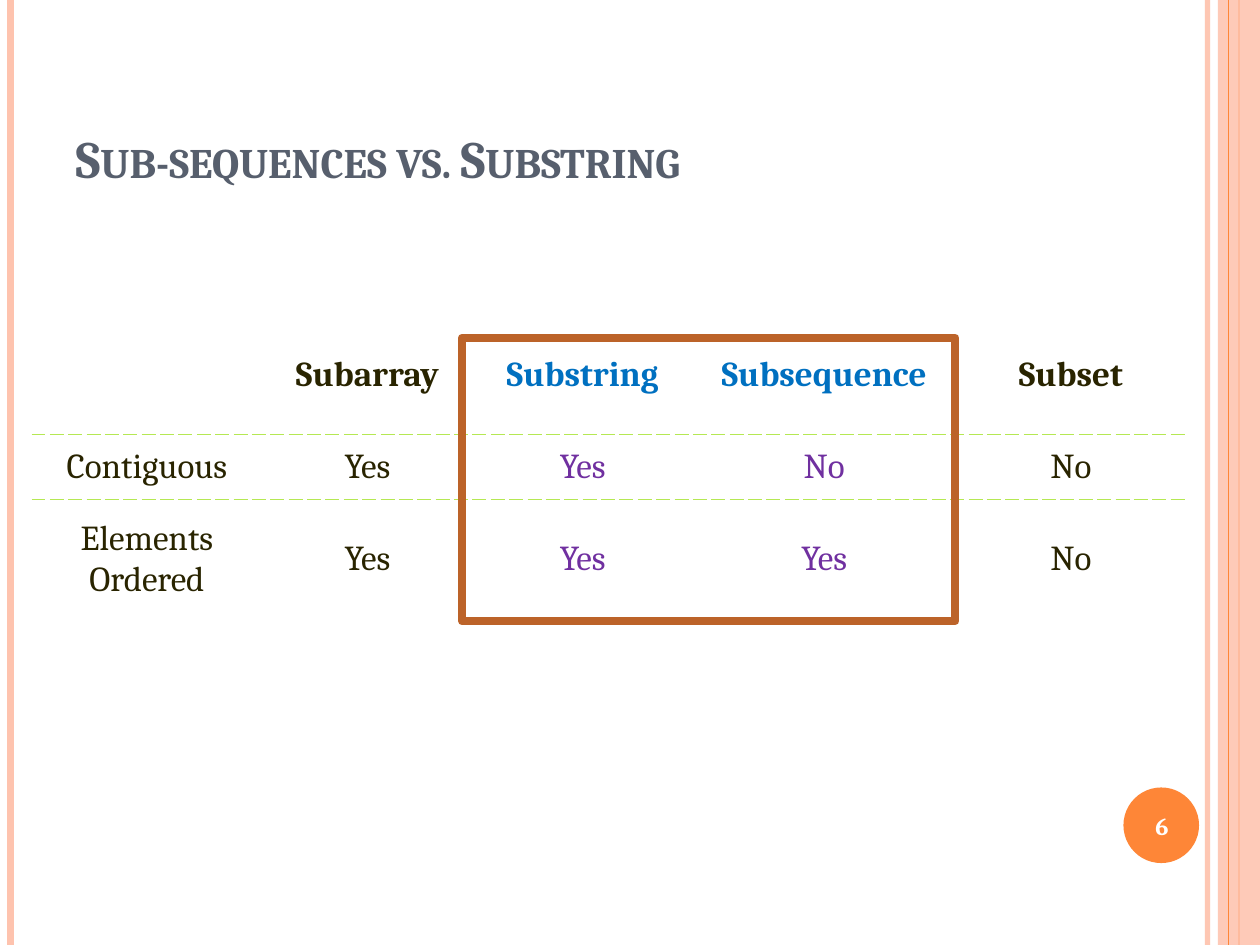
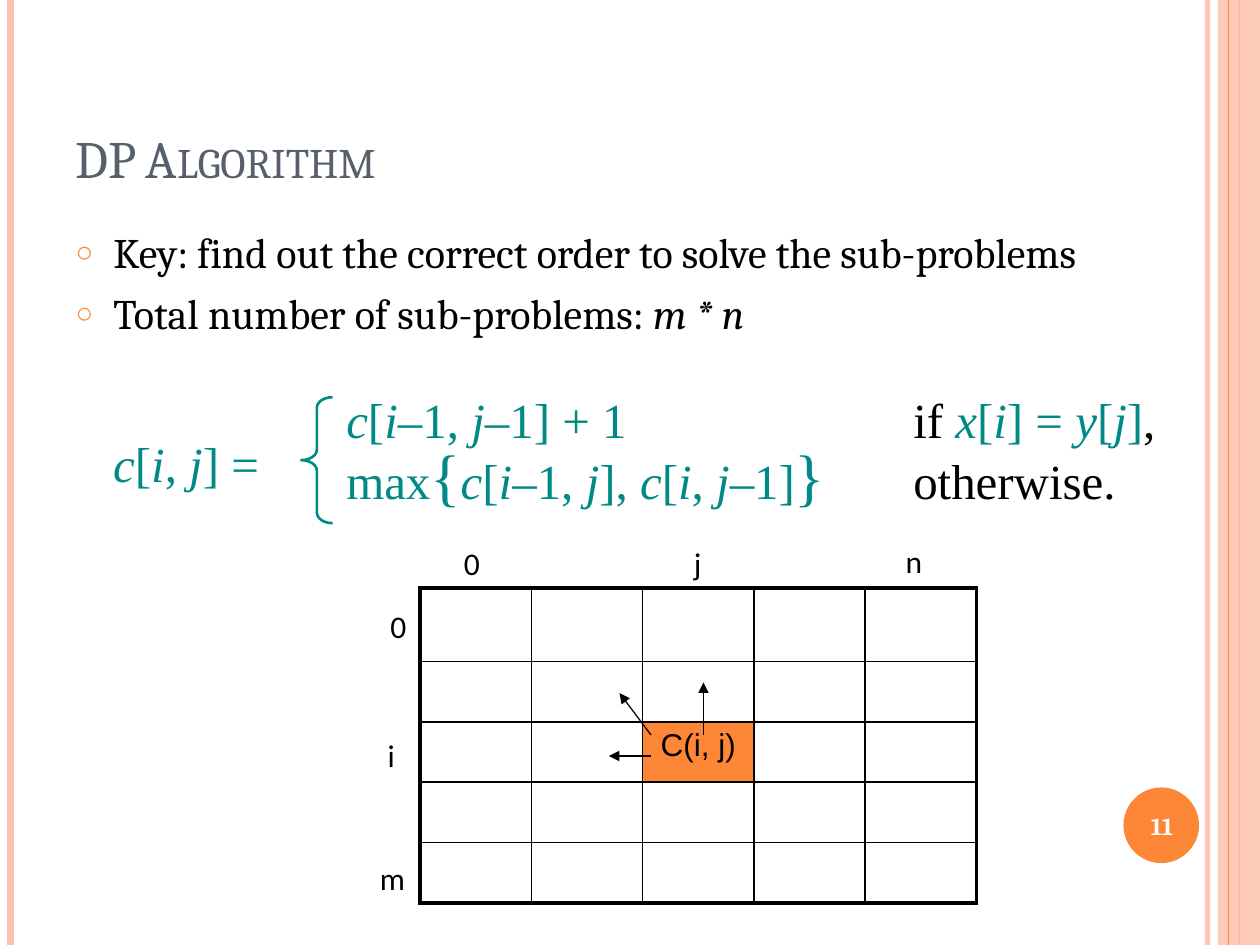
from collections import namedtuple
from itertools import groupby

from lxml.etree import SubElement
from pptx import Presentation
from pptx.dml.color import RGBColor
from pptx.enum.shapes import MSO_CONNECTOR, MSO_SHAPE
from pptx.enum.text import MSO_ANCHOR, MSO_AUTO_SIZE, PP_ALIGN
from pptx.oxml.ns import qn
from pptx.util import Pt

COLORS = {
    "orange": "FE8637", "peach": "FEC3AE", "rust": "BC6329", "slate": "575F6D",
    "olive": "292400", "blue": "0070C0", "purple": "7030A0", "lime": "B5E853",
    "teal": "008A87", "black": "000000", "white": "FFFFFF",
}
SERIF = "Cambria"
PLAIN_TABLE_STYLE = "{2D5ABB26-0587-4C30-8999-92F81FD0307C}"

Box = namedtuple("Box", "left top width height")
SLIDE = Box(0, 0, 720, 540)
TITLE = Box(36, 21.6, 588, 90)
BODY = Box(36, 126, 588, 384)


def rgb(name):
    return RGBColor.from_string(COLORS[name])


def in_points(box):
    return [Pt(length) for length in box]


def within(box, left, top, width, height):
    return Box(box.left + left, box.top + top, width, height)


def set_alpha(shape, percent):
    for color in shape._element.spPr.iter(qn("a:srgbClr")):
        SubElement(color, qn("a:alpha"), val=str(percent * 1000))


def write_text(para, text, size=18, font=SERIF, color="black", bold=False,
               italic=False, small_caps=False):
    span = para.add_run()
    span.text = text
    span.font.size = Pt(size)
    span.font.name = font
    span.font.color.rgb = rgb(color)
    span.font.bold = bold
    span.font.italic = italic
    if small_caps:
        span._r.get_or_add_rPr().set("cap", "small")


def add_line(page, start, end, color, width, arrow=False):
    line = page.shapes.add_connector(MSO_CONNECTOR.STRAIGHT, *in_points(start + end))
    line.line.color.rgb = rgb(color)
    line.line.width = Pt(width)
    if arrow:
        SubElement(line.line._get_or_add_ln(), qn("a:tailEnd"), type="triangle")
    SubElement(line._element.spPr, qn("a:effectLst"))
    return line


def add_shape(page, kind, box, fill=None, line=None, width=1.5):
    shape = page.shapes.add_shape(kind, *in_points(box))
    shape.shadow.inherit = False
    if fill:
        shape.fill.solid()
        shape.fill.fore_color.rgb = rgb(fill)
    else:
        shape.fill.background()
    if line:
        shape.line.color.rgb = rgb(line)
        shape.line.width = Pt(width)
    else:
        shape.line.fill.background()
    return shape


def add_text_frame(page, box):
    frame = page.shapes.add_textbox(*in_points(box)).text_frame
    frame.word_wrap = False
    frame.auto_size = MSO_AUTO_SIZE.SHAPE_TO_FIT_TEXT
    return frame


def place_placeholder(holder, box, anchor):
    holder.left, holder.top, holder.width, holder.height = in_points(box)
    frame = holder.text_frame
    frame.auto_size = MSO_AUTO_SIZE.NONE
    frame.vertical_anchor = anchor
    return frame


def add_bands(page, box):
    bottom = box.top + box.height
    for left, color, width, alpha in (
        (690, "peach", 3, 93), (6, "peach", 4.5, 100), (708, "orange", 1.5, 100),
    ):
        x = box.left + left
        line = add_line(page, (x, box.top), (x, bottom), color, width)
        set_alpha(line, alpha)
    stripe = add_shape(page, MSO_SHAPE.RECTANGLE,
                       within(box, 696, 0, 24, box.height), fill="peach")
    set_alpha(stripe, 87)
    x = box.left + 702
    add_line(page, (x, box.top), (x, bottom), "orange", 0.75)


def add_page_number(page, box, number):
    add_shape(page, MSO_SHAPE.OVAL, within(box, 642, 450, 43.2, 43.2), fill="orange")
    frame = add_text_frame(page, within(box, 640, 451.4, 48, 41))
    frame.word_wrap = True
    frame.auto_size = MSO_AUTO_SIZE.NONE
    frame.vertical_anchor = MSO_ANCHOR.MIDDLE
    para = frame.paragraphs[0]
    para.alignment = PP_ALIGN.CENTER
    write_text(para, str(number), size=14, color="white", bold=True)


def start_page(deck, layout, title, number, bold=False):
    page = deck.slides.add_slide(deck.slide_layouts.get_by_name(layout))
    add_bands(page, SLIDE)
    para = place_placeholder(page.shapes.title, TITLE, MSO_ANCHOR.BOTTOM).paragraphs[0]
    para.alignment = PP_ALIGN.LEFT
    write_text(para, title, size=30, color="slate", bold=bold, small_caps=True)
    add_page_number(page, SLIDE, number)
    return page


def add_plain_table(page, box, widths, heights):
    table = page.shapes.add_table(len(heights), len(widths), *in_points(box)).table
    table.first_row = table.horz_banding = False
    table._tbl.tblPr.find(qn("a:tableStyleId")).text = PLAIN_TABLE_STYLE
    for column, width in zip(table.columns, widths):
        column.width = Pt(width)
    for row, height in zip(table.rows, heights):
        row.height = Pt(height)
    return table


def format_cell(cell, borders, fill=None, dash="solid"):
    properties = cell._tc.get_or_add_tcPr()
    for side, (color, width) in borders.items():
        line = SubElement(properties, qn(f"a:ln{side}"), w=str(Pt(width)))
        solid = SubElement(line, qn("a:solidFill"))
        SubElement(solid, qn("a:srgbClr"), val=COLORS[color])
        SubElement(line, qn("a:prstDash"), val=dash)
    if fill:
        cell.fill.solid()
        cell.fill.fore_color.rgb = rgb(fill)
    else:
        cell.fill.background()


def add_comparison(page, box):
    rows = (
        ("", "Subarray", "Substring", "Subsequence", "Subset"),
        ("Contiguous", "Yes", "Yes", "No", "No"),
        ("Elements Ordered", "Yes", "Yes", "Yes", "No"),
    )
    rule_side = {0: "B", 1: "T"}
    table = add_plain_table(page, box, (132, 120, 126, 150, 132), (68.5, 37, 68.5))
    for row, texts in enumerate(rows):
        for column, text in enumerate(texts):
            cell = table.cell(row, column)
            borders = {rule_side[row]: ("lime", 0.75)} if row in rule_side else {}
            format_cell(cell, borders, dash="dash")
            cell.margin_left = cell.margin_right = Pt(6)
            cell.margin_top = cell.margin_bottom = Pt(3)
            cell.vertical_anchor = MSO_ANCHOR.MIDDLE
            color = "olive"
            if column in (2, 3):
                color = "purple" if row else "blue"
            if text:
                para = cell.text_frame.paragraphs[0]
                para.alignment = PP_ALIGN.CENTER
                write_text(para, text, size=20, color=color, bold=row == 0)
    add_shape(page, MSO_SHAPE.RECTANGLE, within(box, 246, 13, 282, 162),
              line="rust", width=4.5)


def add_bullets(page, box):
    bullets = (
        (("Key: find out the correct order to solve the sub-problems", False),),
        (("Total number of sub-problems:", False), (" m * n", True)),
    )
    frame = place_placeholder(page.placeholders[1], box, MSO_ANCHOR.TOP)
    for index, spans in enumerate(bullets):
        para = frame.add_paragraph() if index else frame.paragraphs[0]
        para.space_before = Pt(6)
        properties = para._p.get_or_add_pPr()
        properties.set("marL", str(Pt(21.6)))
        properties.set("indent", str(Pt(-21.6)))
        color = SubElement(properties, qn("a:buClr"))
        SubElement(color, qn("a:srgbClr"), val=COLORS["orange"])
        SubElement(properties, qn("a:buSzPct"), val="70000")
        SubElement(properties, qn("a:buChar"), char="○")
        for text, italic in spans:
            write_text(para, text, size=24, italic=italic)


def write_math(para, text, color="teal", size=28, variables="cijxy"):
    for italic, letters in groupby(text, key=lambda letter: letter in variables):
        write_text(para, "".join(letters), size=size, font="Times New Roman",
                   color=color, italic=italic)


def add_recurrence(page, box):
    left_side = add_text_frame(page, within(box, 0, 20, 98, 41))
    write_math(left_side.paragraphs[0], "c[i, j] =")
    cases = add_text_frame(page, within(box, 133.2, 0, 477.4, 72.7))
    first, second = cases.paragraphs[0], cases.add_paragraph()
    for para in (first, second):
        para.line_spacing = 0.85
        tabs = SubElement(para._p.get_or_add_pPr(), qn("a:tabLst"))
        SubElement(tabs, qn("a:tab"), pos=str(Pt(324)), algn="l")
    write_math(first, "c[i–1, j–1] + 1")
    write_math(first, "\tif ", color="black", variables="")
    write_math(first, "x[i] = y[j]")
    write_math(first, ",", color="black")
    write_math(second, "max", variables="")
    write_math(second, "{", size=36)
    write_math(second, "c[i–1, j], c[i, j–1]")
    write_math(second, "}", size=36)
    write_math(second, "\totherwise.", color="black", variables="")
    brace = add_shape(page, MSO_SHAPE.LEFT_BRACE, within(box, 114.5, 3, 18, 72),
                      line="teal")
    brace.adjustments[0] = 0.33


def add_subproblem_grid(page, box):
    count = 5
    heights = [42] + [34.5] * (count - 1)
    table = add_plain_table(page, box, [box.width / count] * count, heights)
    for row in range(count):
        for column in range(count):
            outer = {"L": column == 0, "R": column == count - 1,
                     "T": row == 0, "B": row == count - 1}
            borders = {side: ("black", 2.25 if edge else 1)
                       for side, edge in outer.items()}
            current = row == column == 2
            format_cell(table.cell(row, column), borders, "orange" if current else None)
    para = table.cell(2, 2).text_frame.paragraphs[0]
    para.alignment = PP_ALIGN.CENTER
    para.space_before = Pt(3.6)
    write_text(para, "C(i, j)", font="Arial")

    for start_x, start_y, end_x, end_y in (
        (162, 84, 162, 54), (132, 96, 108, 96), (132, 84, 114, 60),
    ):
        add_line(page, (box.left + start_x, box.top + start_y),
                 (box.left + end_x, box.top + end_y), "black", 0.75, arrow=True)

    for text, left, top, width in (
        ("0", -24, 7.5, 24.5), ("i", -25.5, 81, 18.7), ("m", -30, 151.5, 29.5),
        ("0", 18, -28.5, 24.5), ("j", 149.5, -28.5, 18.7), ("n", 270.5, -30, 24.5),
    ):
        label = add_text_frame(page, within(box, left, top, width, 29))
        write_text(label.paragraphs[0], text, font="Calibri")


def main():
    deck = Presentation()
    deck.slide_width, deck.slide_height = Pt(SLIDE.width), Pt(SLIDE.height)

    page = start_page(deck, "Title Only", "Sub-sequences vs. Substring", 6, bold=True)
    add_comparison(page, Box(18, 180, 660, 174))

    page = start_page(deck, "Title and Content", "DP Algorithm", 11)
    add_bullets(page, BODY)
    add_recurrence(page, Box(57.6, 224, 610.6, 75))
    add_subproblem_grid(page, Box(240, 336, 318, 180))

    deck.save("out.pptx")


if __name__ == "__main__":
    main()
